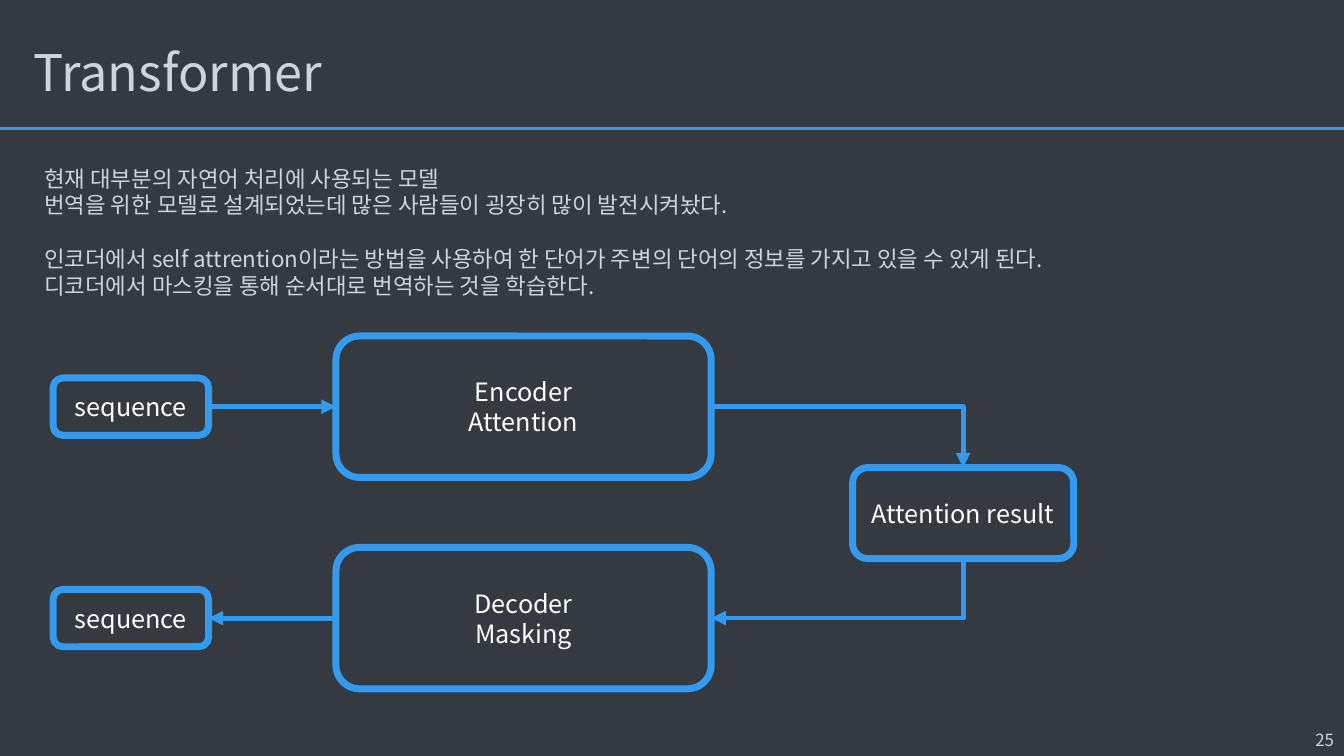
from dataclasses import dataclass
from pptx import Presentation
from pptx.dml.color import RGBColor
from pptx.enum.shapes import MSO_CONNECTOR, MSO_SHAPE
from pptx.enum.text import MSO_ANCHOR, MSO_AUTO_SIZE, PP_ALIGN
from pptx.oxml.ns import qn
from pptx.util import Pt
from lxml.etree import SubElement


@dataclass(frozen=True)
class Theme:
    font: str = "Noto Sans CJK KR"
    back: RGBColor = RGBColor(0x34, 0x3A, 0x40)
    blue: RGBColor = RGBColor(0x33, 0x9A, 0xF0)
    gray: RGBColor = RGBColor(0xCE, 0xD4, 0xDA)
    white: RGBColor = RGBColor(0xFF, 0xFF, 0xFF)
    title: int = 36
    body: int = 16
    label: int = 18
    note: int = 12
    rule: float = 2
    flow: float = 3.5
    edge: float = 5


THEME = Theme()
TOP, LEFT, BOTTOM, RIGHT = range(4)
BODY = [
    "현재 대부분의 자연어 처리에 사용되는 모델",
    "번역을 위한 모델로 설계되었는데 많은 사람들이 굉장히 많이 발전시켜놨다.",
    "인코더에서 self attrention이라는 방법을 사용하여 한 단어가 주변의 단어의 정보를 가지고 있을 수 있게 된다.",
    "디코더에서 마스킹을 통해 순서대로 번역하는 것을 학습한다.",
]


def place(shape, box):
    shape.left, shape.top, shape.width, shape.height = map(Pt, box)


def style(frame, size, color, align, anchor=MSO_ANCHOR.TOP):
    frame.word_wrap = True
    frame.auto_size = MSO_AUTO_SIZE.NONE
    frame.vertical_anchor = anchor
    for para in frame.paragraphs:
        para.alignment = align
        for run in para.runs:
            run.font.size = Pt(size)
            run.font.name = THEME.font
            run.font.color.rgb = color
            SubElement(run._r.get_or_add_rPr(), qn("a:ea"), typeface=THEME.font)


def add_line(slide, kind, start, end, width):
    line = slide.shapes.add_connector(kind, *map(Pt, start + end))
    line.line.color.rgb = THEME.blue
    line.line.width = Pt(width)
    SubElement(line._element.spPr, qn("a:effectLst"))
    return line


def add_head(slide, box):
    x, y, w, h = box
    title = slide.shapes.title
    place(title, (x + 17, y + 20, 828, 68))
    title.text_frame.text = "Transformer"
    title.text_frame.paragraphs[0].line_spacing = 0.9
    style(title.text_frame, THEME.title, THEME.gray, PP_ALIGN.LEFT, MSO_ANCHOR.MIDDLE)
    add_line(slide, MSO_CONNECTOR.STRAIGHT, (x, y + h), (x + w, y + h), THEME.rule)


def add_body(slide, box):
    body = slide.placeholders[1]
    place(body, box)
    body.text_frame.text = "\n".join(BODY)
    for i, para in enumerate(body.text_frame.paragraphs):
        props = para._p.get_or_add_pPr()
        props.set("marL", "0")
        props.set("indent", "0")
        SubElement(props, qn("a:buNone"))
        para.line_spacing = 1.0
        para.space_before = Pt(19.3 if i == 2 else 0)
    style(body.text_frame, THEME.body, THEME.gray, PP_ALIGN.LEFT)


def add_node(slide, text, box):
    node = slide.shapes.add_shape(MSO_SHAPE.ROUNDED_RECTANGLE, *map(Pt, box))
    node.shadow.inherit = False
    node.fill.solid()
    node.fill.fore_color.rgb = THEME.back
    node.line.color.rgb = THEME.blue
    node.line.width = Pt(THEME.edge)
    node.text_frame.text = text
    style(node.text_frame, THEME.label, THEME.white, PP_ALIGN.CENTER, MSO_ANCHOR.MIDDLE)
    return node


def add_flow(slide, first, out, last, into, head="tailEnd", bent=False):
    kind = MSO_CONNECTOR.ELBOW if bent else MSO_CONNECTOR.STRAIGHT
    link = add_line(slide, kind, (0, 0), (0, 0), THEME.flow)
    link.begin_connect(first, out)
    link.end_connect(last, into)
    props = link._element.spPr
    SubElement(props.find(qn("a:ln")), qn(f"a:{head}"), type="triangle")
    if bent:
        props.find(qn("a:prstGeom")).set("prst", "bentConnector2")


def add_chain(slide, box):
    x, y, w, h = box
    big, small, gap = 101, 41, 151
    result = add_node(slide, "Attention result", (x + w - 158, y + h / 2 - 32, 158, 65))
    rows = [("Encoder\nAttention", "tailEnd", TOP), ("Decoder\nMasking", "headEnd", BOTTOM)]
    for i, (text, head, side) in enumerate(rows):
        top = y + i * gap
        coder = add_node(slide, text, (x + 202, top, 268, big))
        word = add_node(slide, "sequence", (x, top + (big - small) / 2, 111, small))
        add_flow(slide, word, RIGHT, coder, LEFT, head)
        add_flow(slide, coder, RIGHT, result, side, head, True)


def add_number(slide, box):
    note = slide.shapes.add_textbox(*map(Pt, box))
    note.text_frame.text = "25"
    style(note.text_frame, THEME.note, THEME.gray, PP_ALIGN.RIGHT)


def main():
    deck = Presentation()
    deck.slide_width, deck.slide_height = Pt(960), Pt(540)
    slide = deck.slides.add_slide(deck.slide_layouts[1])
    slide.background.fill.solid()
    slide.background.fill.fore_color.rgb = THEME.back
    add_head(slide, (0, 0, 960, 92))
    add_body(slide, (24.5, 114, 799, 104))
    add_chain(slide, (38, 240, 729, 252))
    add_number(slide, (839, 518, 121, 22))
    deck.save("out.pptx")


if __name__ == "__main__":
    main()
